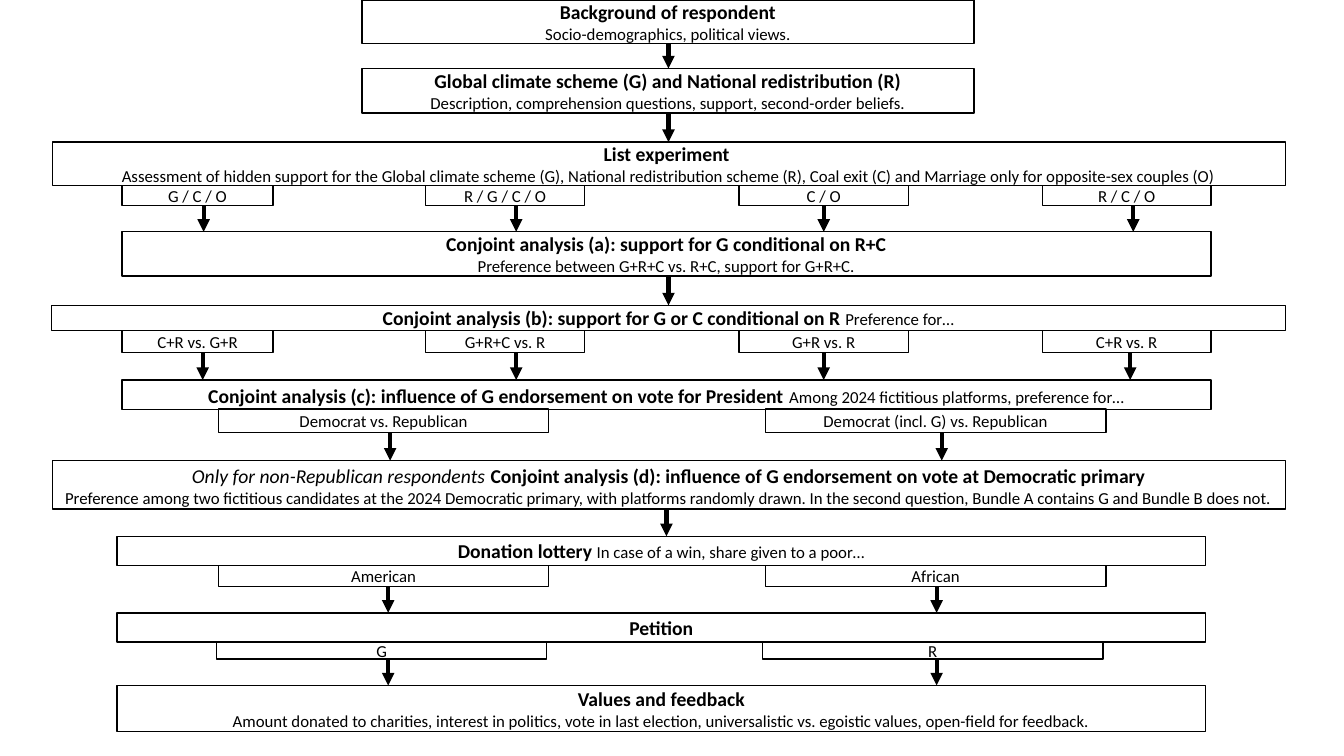
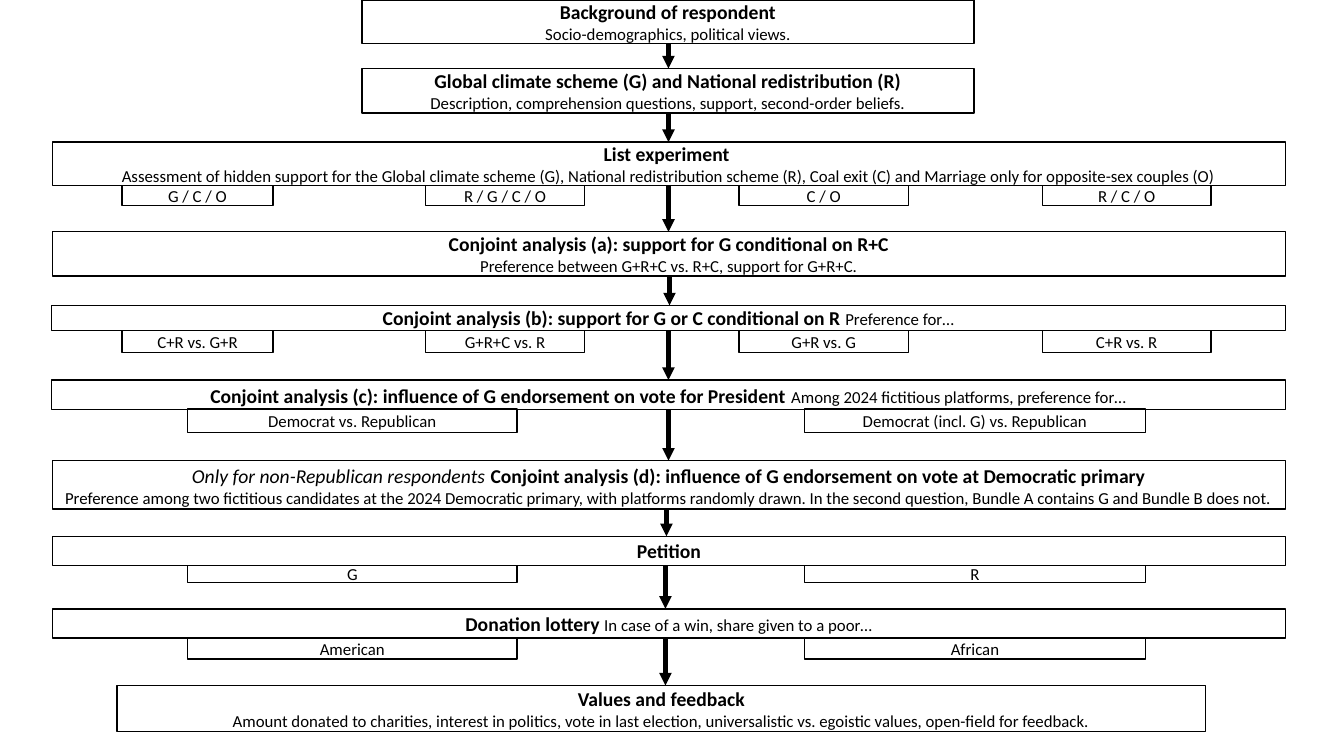
from dataclasses import dataclass

import pptx
import pptx.dml.color
import pptx.enum.shapes
import pptx.enum.text
import pptx.oxml
import pptx.oxml.ns
import pptx.util


@dataclass(frozen=True)
class Theme:
    font: str = "Calibri"
    ink: str = "000000"
    heading: int = 14
    detail: int = 12
    spacer: int = 16
    outline: int = 1
    arrow: int = 3


THEME = Theme()
PX = 9144
SLIDE_SIZE = (1333, 750)

STYLES = {
    "heading": dict(size=THEME.heading, bold=True),
    "condition": dict(size=THEME.heading, italic=True),
    "spacer": dict(size=THEME.spacer, bold=True),
    "detail": dict(size=THEME.detail),
}

STAGE_TEXT = {
    "background": [
        [("heading", "Background of respondent")],
        [("detail", "Socio-demographics, political views.")],
    ],
    "schemes": [
        [("heading", "Global climate scheme (G) and National redistribution (R)")],
        [("detail", "Description, comprehension questions, support, second-order beliefs.")],
    ],
    "list": [
        [("heading", "List experiment ")],
        [("detail", "Assessment of hidden support for the Global climate scheme (G), National "
                    "redistribution scheme (R), Coal exit (C) and Marriage only for "
                    "opposite-sex couples (O)")],
    ],
    "conjoint a": [
        [("heading", "Conjoint analysis (a): support for G conditional on R+C")],
        [("detail", "Preference between G+R+C vs. R+C, support for G+R+C.")],
    ],
    "conjoint b": [
        [("heading", "Conjoint analysis (b): support for G or C conditional on R "),
         ("detail", "Preference for…")],
    ],
    "conjoint c": [
        [("heading", "Conjoint analysis (c): influence of G endorsement on vote for President"),
         ("spacer", " "),
         ("detail", "Among 2024 fictitious platforms, preference for…")],
    ],
    "conjoint d": [
        [("condition", "Only for non-Republican respondents"),
         ("spacer", " "),
         ("heading", "Conjoint analysis (d): influence of G endorsement on vote at "
                     "Democratic primary")],
        [("detail", "Preference among two fictitious candidates at the 2024 Democratic primary, "
                    "with platforms randomly drawn. In the second question, Bundle A contains G "
                    "and Bundle B does not.")],
    ],
    "lottery": [
        [("heading", "Donation lottery "),
         ("detail", "In case of a win, share given to a poor…")],
    ],
    "petition": [[("heading", "Petition")]],
    "values": [
        [("heading", "Values and feedback")],
        [("detail", "Amount donated to charities, interest in politics, vote in last election, "
                    "universalistic vs. egoistic values, open-field for feedback.")],
    ],
}

SHORT = (359, 607)
WIDE = (52, 1223)
WIDEST = (51, 1224)
MEDIUM = (121, 1080)
LOWER = (116, 1080)

QUARTERS = [(121, 150), (422, 158), (733, 168), (1034, 167)]
HALVES = [(217, 327), (759, 338)]
PETITION_HALVES = [(215, 327), (756, 338)]
OUTER_HALVES = [(186, 327), (798, 338)]

LIST_GROUPS = ["G / C / O", "R / G / C / O", "C / O", "R / C / O"]
PARTY_GROUPS = ["Democrat vs. Republican", "Democrat (incl. G) vs. Republican"]
DONATION_GROUPS = ["American", "African"]
PETITION_GROUPS = ["G", "R"]


def stage(name, top, height, band, arrows=(), groups=(), columns=(), group_height=0):
    return dict(name=name, top=top, height=height, band=band, arrows=arrows,
                groups=groups, columns=columns, group_height=group_height)


OPENING = [
    stage("background", 0, 43, SHORT, [663]),
    stage("schemes", 68, 44, SHORT, [663]),
]
PRIMARY = stage("conjoint d", 457, 48, WIDE, [661])
CLOSING = stage("values", 680, 46, LOWER)

BRANCHED_FLOW = OPENING + [
    stage("list", 141, 43, WIDE, [202, 512, 817, 1124], LIST_GROUPS, QUARTERS, 20),
    stage("conjoint a", 230, 44, MEDIUM, [663]),
    stage("conjoint b", 303, 25, WIDEST, [201, 512, 817, 1121],
          ["C+R vs. G+R", "G+R+C vs. R", "G+R vs. R", "C+R vs. R"], QUARTERS, 22),
    stage("conjoint c", 377, 29, MEDIUM, [387, 934], PARTY_GROUPS, HALVES, 23),
    PRIMARY,
    stage("lottery", 532, 29, LOWER, [385, 929], DONATION_GROUPS, HALVES, 21),
    stage("petition", 608, 29, LOWER, [385, 929], PETITION_GROUPS, PETITION_HALVES, 17),
    CLOSING,
]

CENTRAL_FLOW = OPENING + [
    stage("list", 141, 43, WIDE, [663], LIST_GROUPS, QUARTERS, 20),
    stage("conjoint a", 230, 44, WIDE, [664]),
    stage("conjoint b", 303, 25, WIDEST, [663],
          ["C+R vs. G+R", "G+R+C vs. R", "G+R vs. G", "C+R vs. R"], QUARTERS, 22),
    stage("conjoint c", 377, 29, WIDEST, [663], PARTY_GROUPS, OUTER_HALVES, 23),
    PRIMARY,
    stage("petition", 532, 29, WIDE, [660], PETITION_GROUPS, OUTER_HALVES, 17),
    stage("lottery", 604, 29, WIDE, [660], DONATION_GROUPS, OUTER_HALVES, 21),
    CLOSING,
]

FLOWS = [(BRANCHED_FLOW, True), (CENTRAL_FLOW, False)]


def ink():
    return pptx.dml.color.RGBColor.from_string(THEME.ink)


def add_span(para, text, size, bold=False, italic=False):
    span = para.add_run()
    span.text = text
    span.font.name = THEME.font
    span.font.size = pptx.util.Pt(size)
    span.font.bold = bold
    span.font.italic = italic
    span.font.color.rgb = ink()


def add_box(page, left, top, width, height, paragraphs):
    box = page.shapes.add_shape(pptx.enum.shapes.MSO_SHAPE.RECTANGLE,
                                *(value * PX for value in (left, top, width, height)))
    box.shadow.inherit = False
    box.fill.background()
    box.line.color.rgb = ink()
    box.line.width = pptx.util.Pt(THEME.outline)
    frame = box.text_frame
    frame.word_wrap = True
    frame.vertical_anchor = pptx.enum.text.MSO_ANCHOR.MIDDLE
    for index, spans in enumerate(paragraphs):
        para = frame.add_paragraph() if index else frame.paragraphs[0]
        para.alignment = pptx.enum.text.PP_ALIGN.CENTER
        for style, text in spans:
            add_span(para, text, **STYLES[style])


def add_arrow(page, x, top, bottom):
    arrow = page.shapes.add_connector(pptx.enum.shapes.MSO_CONNECTOR.STRAIGHT,
                                      x * PX, top * PX, x * PX, bottom * PX)
    arrow.line.color.rgb = ink()
    arrow.line.width = pptx.util.Pt(THEME.arrow)
    namespace = pptx.oxml.ns.nsdecls("a")
    arrow.line._get_or_add_ln().append(
        pptx.oxml.parse_xml(f'<a:tailEnd {namespace} type="triangle"/>'))
    arrow._element.spPr.append(pptx.oxml.parse_xml(f"<a:effectLst {namespace}/>"))


def draw_stage(page, step):
    left, width = step["band"]
    add_box(page, left, step["top"], width, step["height"], STAGE_TEXT[step["name"]])
    group_top = step["top"] + step["height"]
    for label, (group_left, group_width) in zip(step["groups"], step["columns"]):
        add_box(page, group_left, group_top, group_width, step["group_height"],
                [[("detail", label)]])


def draw_flow(page, steps, from_groups):
    for step in steps:
        draw_stage(page, step)
    for step, following in zip(steps, steps[1:]):
        start = step["top"] + step["height"]
        if from_groups:
            start += step["group_height"]
        for x in step["arrows"]:
            add_arrow(page, x, start, following["top"])


def main():
    deck = pptx.Presentation()
    deck.slide_width, deck.slide_height = (side * PX for side in SLIDE_SIZE)
    for steps, from_groups in FLOWS:
        page = deck.slides.add_slide(deck.slide_layouts[6])
        draw_flow(page, steps, from_groups)
    deck.save("out.pptx")


if __name__ == "__main__":
    main()
